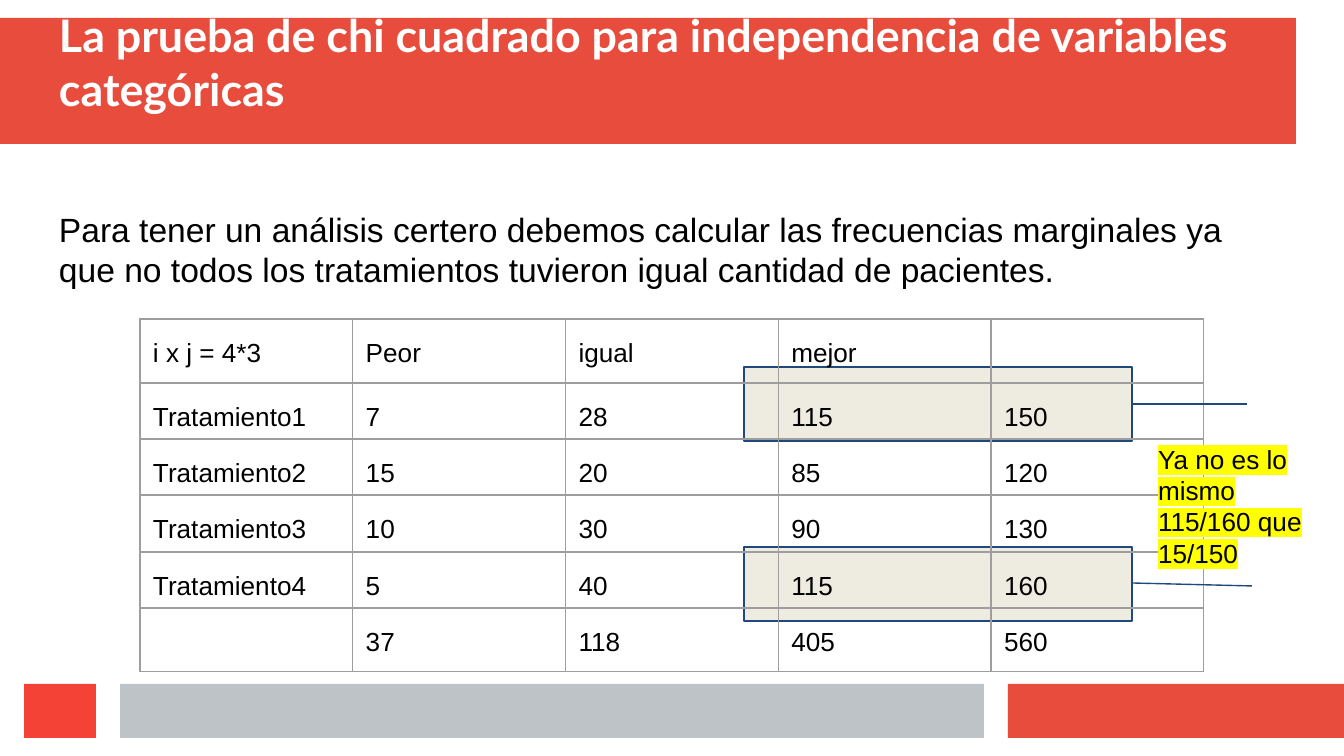
from pptx import Presentation, util as u
from pptx.dml.color import RGBColor
from pptx.enum import shapes, text
from pptx.oxml import parse_xml
from pptx.oxml.ns import nsdecls

COL = dict(red="E74C3C", bright="F44336", gray="BDC3C7", cream="EEECE1", navy="1F497D",
           grid="9E9E9E", white="FFFFFF", black="000000", mark="FFFF00")
rgb = {name: RGBColor.from_string(code) for name, code in COL.items()}
PX = 914400 / 134.4


def px(*vals):
    return [u.Emu(round(v * PX)) for v in vals]


def write(frame, words, size, inset, face="Arial", color="black"):
    frame.word_wrap = True
    edge, = px(inset)
    frame.margin_left = frame.margin_right = edge
    frame.margin_top = frame.margin_bottom = edge
    para = frame.paragraphs[0]
    para.text = words
    para.font.size = u.Pt(size)
    para.font.name = face
    para.font.color.rgb = rgb[color]
    return para


prs = Presentation()
prs.slide_width, prs.slide_height = px(1344, 756)
slide = prs.slides.add_slide(prs.slide_layouts[6])
items = slide.shapes

# Bands, then the boxes that lie under the table
for box, fill, line in [
    ((0, 18, 1296, 126), "red", None),
    ((1008, 684, 336, 54), "red", None),
    ((120, 684, 864, 54), "gray", None),
    ((24, 684, 72, 54), "bright", None),
    ((744, 367, 388, 74), "cream", "navy"),
    ((744, 547, 388, 74), "cream", "navy"),
]:
    rect = items.add_shape(shapes.MSO_SHAPE.RECTANGLE, *px(*box))
    rect.shadow.inherit = False
    rect.fill.solid()
    rect.fill.fore_color.rgb = rgb[fill]
    if line:
        rect.line.color.rgb = rgb[line]
        rect.line.width = u.Pt(0.75)
    else:
        rect.line.fill.background()

# Title and body
title = items.add_textbox(*px(48, 36, 1249, 90)).text_frame
title.vertical_anchor = text.MSO_ANCHOR.BOTTOM
para = write(title, "La prueba de chi cuadrado para independencia de variables categóricas",
             24, 11, "Lato", "white")
para.font.bold = True

body = items.add_textbox(*px(48, 198, 1224, 121)).text_frame
write(body, "Para tener un análisis certero debemos calcular las frecuencias marginales ya "
      "que no todos los tratamientos tuvieron igual cantidad de pacientes.", 18, 11)

# Table of counts with marginal totals
rows = [
    ["i x j = 4*3", "Peor", "igual", "mejor", ""],
    ["Tratamiento1", "7", "28", "115", "150"],
    ["Tratamiento2", "15", "20", "85", "120"],
    ["Tratamiento3", "10", "30", "90", "130"],
    ["Tratamiento4", "5", "40", "115", "160"],
    ["", "37", "118", "405", "560"],
]
tall = [64, 56, 56, 57, 56, 64]
table = items.add_table(6, 5, *px(140, 319, 5 * 213, sum(tall))).table
table.first_row = table.horz_banding = False
for col in table.columns:
    col.width, = px(212.8)
for row, high, words in zip(table.rows, tall, rows):
    row.height, = px(high)
    for cell, word in zip(row.cells, words):
        write(cell.text_frame, word, 14, 13)
        cell.margin_left, cell.margin_top, cell.margin_right, cell.margin_bottom = px(13, 20, 13, 4)
        props = cell._tc.get_or_add_tcPr()
        for side in "LRTB":
            props.append(parse_xml(
                f'<a:ln{side} {nsdecls("a")} w="9525"><a:solidFill>'
                f'<a:srgbClr val="{COL["grid"]}"/></a:solidFill></a:ln{side}>'))
        cell.fill.background()

# Lines from the boxes
for ends in [(1132, 404, 1247, 404), (1132, 583, 1252, 586)]:
    line = items.add_connector(shapes.MSO_CONNECTOR.STRAIGHT, *px(*ends))
    line.line.color.rgb = rgb["navy"]
    line.line.width = u.Pt(0.75)
    line._element.spPr.append(parse_xml(f'<a:effectLst {nsdecls("a")}/>'))

# Highlighted note
note = items.add_textbox(*px(1145, 430, 175, 105)).text_frame
para = write(note, "Ya no es lo mismo 115/160 que 15/150", 14, 13)
para.runs[0]._r.get_or_add_rPr().append(parse_xml(
    f'<a:highlight {nsdecls("a")}><a:srgbClr val="{COL["mark"]}"/></a:highlight>'))

prs.save("out.pptx")
